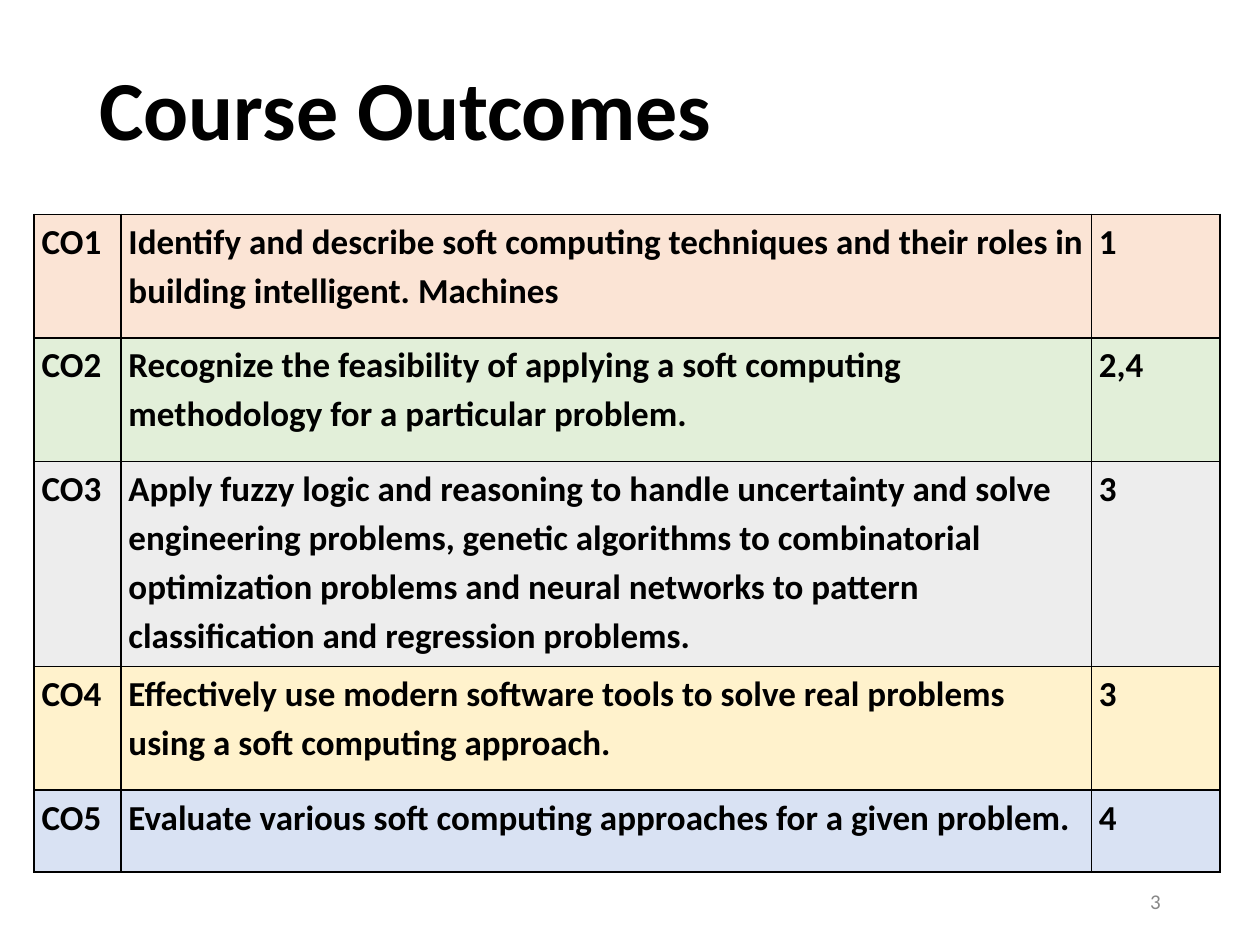
import pptx
import pptx.dml.color
import pptx.enum.text
import pptx.oxml
import pptx.oxml.ns
import pptx.util
from pptx.util import Cm

ANCHOR = pptx.enum.text.MSO_ANCHOR
ALIGN = pptx.enum.text.PP_ALIGN


def color(hex_string):
    return pptx.dml.color.RGBColor.from_string(hex_string)


def format_text(paragraph, size, hex_string, bold, **paragraph_format):
    for name, value in paragraph_format.items():
        setattr(paragraph, name, value)
    font_format = {"name": "Calibri", "size": pptx.util.Pt(size), "bold": bold}
    for run in paragraph.runs:
        for name, value in font_format.items():
            setattr(run.font, name, value)
        run.font.color.rgb = color(hex_string)


presentation = pptx.Presentation()
presentation.slide_width = Cm(25.4)
presentation.slide_height = Cm(19.05)
slide = presentation.slides.add_slide(presentation.slide_layouts[5])

# Title
title = slide.shapes.title
title_box = {"left": Cm(1.75), "top": Cm(1.27), "width": Cm(14.05), "height": Cm(2.06)}
for name, value in title_box.items():
    setattr(title, name, value)
title.text_frame.text = "Course Outcomes"
title.text_frame.vertical_anchor = ANCHOR.BOTTOM
format_text(title.text_frame.paragraphs[0], 48, "000000", True,
            alignment=ALIGN.LEFT, line_spacing=0.9)

# Outcomes table: code, outcome, level, row height in cm, fill
outcomes = [
    ("CO1", "Identify and describe soft computing techniques and their roles in "
     "building intelligent. Machines", "1", 2.49, "FBE4D5"),
    ("CO2", "Recognize the feasibility of applying a soft computing methodology "
     "for a particular problem.", "2,4", 2.49, "E2EFD9"),
    ("CO3", "Apply fuzzy logic and reasoning to handle uncertainty and solve "
     "engineering problems, genetic algorithms to combinatorial optimization "
     "problems and neural networks to pattern classification and regression "
     "problems.", "3", 4.14, "EDEDED"),
    ("CO4", "Effectively use modern software tools to solve real problems using "
     "a soft computing approach.", "3", 2.49, "FFF2CC"),
    ("CO5", "Evaluate various soft computing approaches for a given problem.",
     "4", 1.65, "D9E2F3"),
]
column_widths = [1.75, 19.56, 2.59]
table = slide.shapes.add_table(
    len(outcomes), len(column_widths), Cm(0.69), Cm(4.32),
    Cm(sum(column_widths)), Cm(sum(outcome[3] for outcome in outcomes))).table
for name in ("first_row", "horz_banding"):
    setattr(table, name, False)
for column, width in zip(table.columns, column_widths):
    column.width = Cm(width)

cell_format = {"margin_left": Cm(0.15), "margin_right": Cm(0.15), "margin_top": 0,
               "margin_bottom": 0, "vertical_anchor": ANCHOR.TOP}
border_xml = ('<a:{side} {namespace} w="12700"><a:solidFill>'
              '<a:srgbClr val="000000"/></a:solidFill></a:{side}>')
for row, (code, outcome, level, height, fill) in zip(table.rows, outcomes):
    row.height = Cm(height)
    for cell, text in zip(row.cells, (code, outcome, level)):
        cell.text = text
        for name, value in cell_format.items():
            setattr(cell, name, value)
        format_text(cell.text_frame.paragraphs[0], 20, "000000", True,
                    alignment=ALIGN.LEFT, line_spacing=1.15,
                    space_after=pptx.util.Pt(0 if text == outcome and code != "CO5" else 10))
        # Borders come before the fill in the cell properties
        properties = cell._tc.get_or_add_tcPr()
        for side in ("lnL", "lnR", "lnT", "lnB"):
            properties.append(pptx.oxml.parse_xml(border_xml.format(
                side=side, namespace=pptx.oxml.ns.nsdecls("a"))))
        cell.fill.solid()
        cell.fill.fore_color.rgb = color(fill)

# Slide number
number_box = slide.shapes.add_textbox(Cm(17.93), Cm(17.65), Cm(5.72), Cm(1.02))
number_box.text_frame.word_wrap = True
number_box.text_frame.vertical_anchor = ANCHOR.MIDDLE
number_box.text_frame.text = "3"
format_text(number_box.text_frame.paragraphs[0], 12, "888888", False,
            alignment=ALIGN.RIGHT)

presentation.save("out.pptx")
